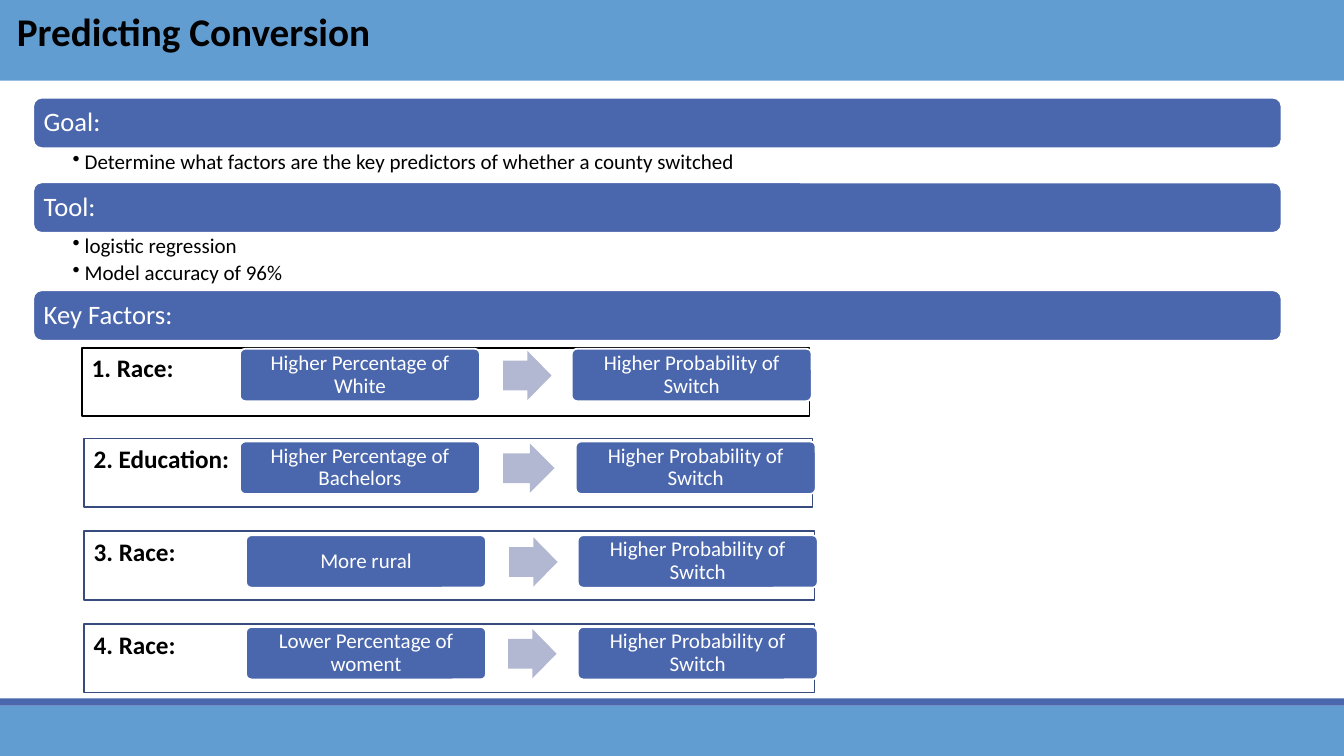
from lxml.etree import SubElement
from pptx import Presentation
from pptx.dml.color import RGBColor
from pptx.enum.shapes import MSO_SHAPE
from pptx.enum.text import MSO_ANCHOR, PP_ALIGN
from pptx.oxml.ns import qn
from pptx.util import Inches, Pt

COLORS = {
    "band": "629DD1",
    "accent": "4A66AC",
    "arrow": "B2B8D2",
    "outline": "374B7F",
    "white": "FFFFFF",
    "black": "000000",
}
SLIDE_WIDTH, SLIDE_HEIGHT = 13.33, 7.5

# heading, top of its bar, bullets below it
SECTIONS = [
    ("Goal:", 0.97,
     ["Determine what factors are the key predictors of whether a county switched"]),
    ("Tool:", 1.81, ["logistic regression", "Model accuracy of 96%"]),
    ("Key Factors:", 2.88, []),
]
RESULT = "Higher Probability of Switch"
# label, cause, outline, panel box, then cause, arrow and result offsets
# from the panel's left, arrow width, and pill offset from its top
FACTORS = [
    ("1. Race:", "Higher Percentage of White", "black",
     (0.81, 3.45, 7.22, 0.68), (1.57, 4.18, 4.86), 0.48, 0.01),
    ("2. Education:", "Higher Percentage of Bachelors", "outline",
     (0.83, 4.35, 7.23, 0.68), (1.55, 4.16, 4.88), 0.51, 0.03),
    ("3. Race:", "More rural", "outline",
     (0.83, 5.27, 7.25, 0.68), (1.61, 4.22, 4.9), 0.48, 0.04),
    ("4. Race:", "Lower Percentage of woment", "outline",
     (0.83, 6.19, 7.25, 0.68), (1.61, 4.21, 4.9), 0.48, 0.03),
]


def color(name):
    return RGBColor.from_string(COLORS[name])


def add_block(page, kind, box, fill, line=None):
    block = page.shapes.add_shape(kind, *map(Inches, box))
    block.shadow.inherit = False
    block.fill.solid()
    block.fill.fore_color.rgb = color(fill)
    if line:
        block.line.color.rgb = color(line)
        block.line.width = Pt(1.25)
    else:
        block.line.fill.background()
    return block


def write(shape, lines, size, ink, bold=False, align=PP_ALIGN.LEFT,
          anchor=MSO_ANCHOR.TOP, insets=(0.1, 0.05, 0.1, 0.05), spacing=0.9):
    frame = shape.text_frame
    frame.text = "\n".join(lines)
    frame.word_wrap = True
    frame.vertical_anchor = anchor
    (frame.margin_left, frame.margin_top,
     frame.margin_right, frame.margin_bottom) = map(Inches, insets)
    for para in frame.paragraphs:
        para.alignment = align
        para.line_spacing = spacing
        for span in para.runs:
            span.font.name = "Calibri"
            span.font.size = Pt(size)
            span.font.bold = bold
            span.font.color.rgb = color(ink)


def add_bands(page):
    # Footer bands, header band and title
    add_block(page, MSO_SHAPE.RECTANGLE, (0, 7, SLIDE_WIDTH, 0.5), "band")
    add_block(page, MSO_SHAPE.RECTANGLE, (0, 6.93, SLIDE_WIDTH, 0.07), "accent")
    add_block(page, MSO_SHAPE.RECTANGLE, (0, 0, SLIDE_WIDTH, 0.8), "band")
    title = add_block(page, MSO_SHAPE.RECTANGLE, (0.07, 0.08, 11.5, 0.56), "band")
    write(title, ["Predicting Conversion"], 28, "black", bold=True)


def add_section(page, box, heading, bullets):
    left, top, width, height = box
    # Heading bar
    bar = add_block(page, MSO_SHAPE.ROUNDED_RECTANGLE, box, "accent", "white")
    write(bar, [heading], 19, "white", anchor=MSO_ANCHOR.MIDDLE, insets=(0.08,) * 4)
    if not bullets:
        return
    # Bullet list
    list_box = (left, top + height, width, 0.07 + 0.26 * len(bullets))
    notes = page.shapes.add_textbox(*map(Inches, list_box))
    write(notes, bullets, 15, "black", insets=(0.39, 0.03, 0.15, 0.03))
    for para in notes.text_frame.paragraphs:
        para.space_after = Pt(3)
        properties = para._p.get_or_add_pPr()
        properties.set("marL", str(Inches(0.12)))
        properties.set("indent", str(-Inches(0.12)))
        SubElement(properties, qn("a:buChar")).set("char", "•")


def add_factor(page, box, label, cause, outline, offsets, arrow_width, drop):
    left, top = box[:2]
    cause_left, arrow_left, result_left = (left + offset for offset in offsets)
    # Labelled panel
    panel = add_block(page, MSO_SHAPE.RECTANGLE, box, "white", outline)
    write(panel, [label], 18, "black", bold=True, spacing=1.0)
    # Cause and result
    for pill_left, words in ((cause_left, cause), (result_left, RESULT)):
        pill = add_block(page, MSO_SHAPE.ROUNDED_RECTANGLE,
                         (pill_left, top + drop, 2.38, 0.52), "accent", "white")
        pill.adjustments[0] = 0.1
        write(pill, [words], 15, "white", align=PP_ALIGN.CENTER,
              anchor=MSO_ANCHOR.MIDDLE, insets=(0.06,) * 4)
    # Arrow between them
    arrow = add_block(page, MSO_SHAPE.RIGHT_ARROW,
                      (arrow_left, top + drop + 0.02, arrow_width, 0.49), "arrow")
    arrow.adjustments[0] = 0.6
    arrow.adjustments[1] = 0.5


def main():
    deck = Presentation()
    deck.slide_width = Inches(SLIDE_WIDTH)
    deck.slide_height = Inches(SLIDE_HEIGHT)
    page = deck.slides.add_slide(deck.slide_layouts[6])
    add_bands(page)
    for heading, top, bullets in SECTIONS:
        add_section(page, (0.33, top, 12.38, 0.5), heading, bullets)
    for label, cause, outline, box, offsets, arrow_width, drop in FACTORS:
        add_factor(page, box, label, cause, outline, offsets, arrow_width, drop)
    deck.save("out.pptx")


if __name__ == "__main__":
    main()
